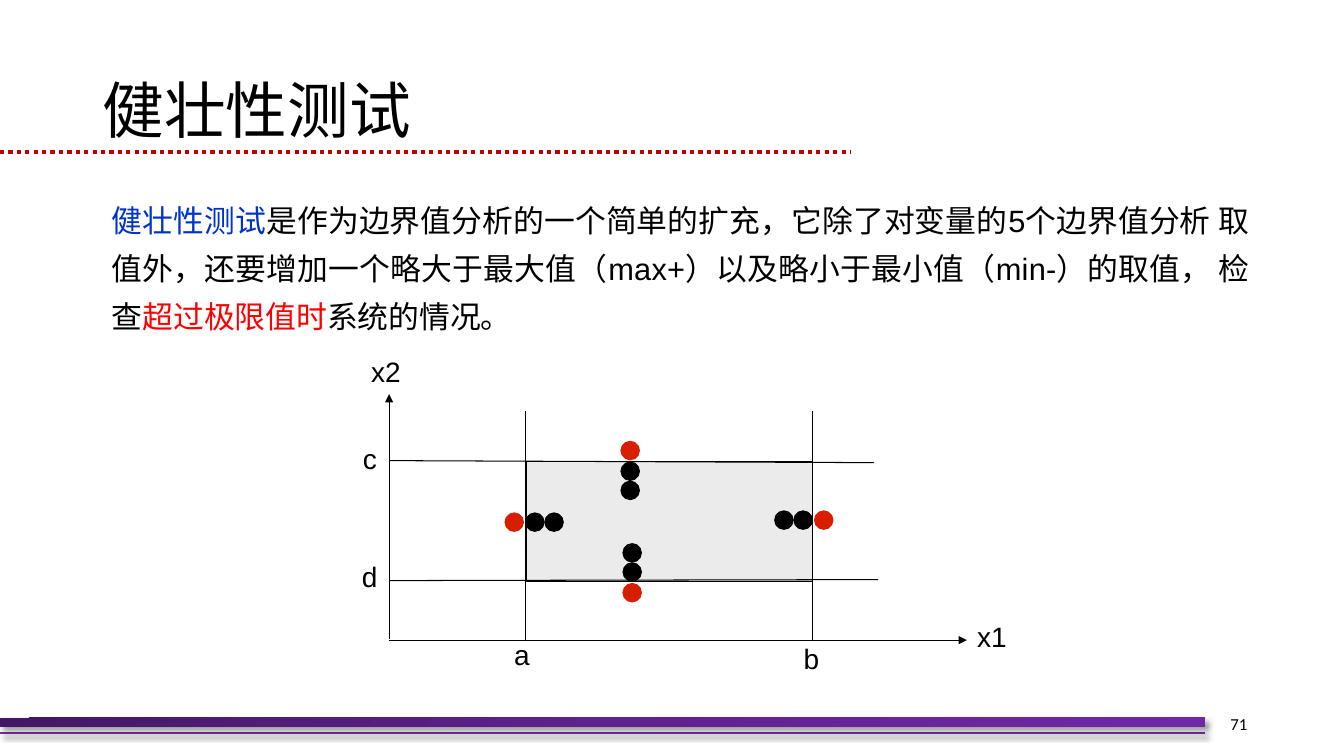
from copy import deepcopy
from pptx import Presentation
from pptx.dml.color import RGBColor
from pptx.enum.dml import MSO_LINE
from pptx.enum.shapes import MSO_CONNECTOR, MSO_SHAPE
from pptx.enum.text import MSO_ANCHOR, PP_ALIGN
from pptx.oxml import parse_xml
from pptx.oxml.ns import nsdecls, qn
from pptx.oxml.xmlchemy import OxmlElement
from pptx.util import Inches, Pt

BLACK = RGBColor(0x00, 0x00, 0x00)
BLUE = RGBColor(0x00, 0x33, 0xCC)
RED = RGBColor(0xFF, 0x00, 0x00)
DOT_RED = RGBColor(0xD8, 0x1E, 0x00)
RULE_RED = RGBColor(0xC0, 0x00, 0x00)
PURPLE = RGBColor(0x70, 0x30, 0xA0)
GREY = RGBColor(0xEB, 0xEB, 0xEB)
BAR_STOPS = [
    (0, RGBColor(0x43, 0x17, 0x64)),
    (0.5, RGBColor(0x5F, 0x21, 0x8E)),
    (1, RGBColor(0x71, 0x28, 0xA8)),
]
CJK, LATIN, NUMBER = "Noto Sans CJK SC", "Arial", "Calibri"

TITLE = [("健壮性测试", CJK, BLACK, 0)]
BODY = [
    ("健壮性测试", CJK, BLUE, 10),
    ("是作为边界值分析的一个简单的扩充，它除了对变量的", CJK, BLACK, 10),
    ("5", LATIN, BLACK, 10),
    ("个边界值分析 ", CJK, BLACK, 10),
    ("取值外，还要增加一个略大于最大值（", CJK, BLACK, 20),
    ("max+", LATIN, BLACK, 20),
    ("）以及略小于最小值（", CJK, BLACK, 20),
    ("min-", LATIN, BLACK, 20),
    ("）的取", CJK, BLACK, 20),
    ("值， 检查", CJK, BLACK, 0),
    ("超过极限值时", CJK, RED, 0),
    ("系统的情况。", CJK, BLACK, 0),
]
PAGE_NUMBER = [("71", NUMBER, BLACK, 0)]
LABELS = [
    ("x1", 96.9, 61.4),
    ("x2", 36.8, 35.1),
    ("a", 51, 63.1),
    ("b", 79.7, 63.5),
    ("c", 36, 43.7),
    ("d", 35.9, 55.4),
]
AXES = [(38.6, 63.4, 38.6, 39.1), (38.6, 63.5, 95.9, 63.5)]
LIMITS = [
    (38.6, 45.7, 86.7, 45.9),
    (38.6, 57.6, 87.1, 57.5),
    (52.1, 40.8, 52.1, 63.5),
    (80.6, 40.8, 80.6, 63.5),
]
VALID_AREA = (52.2, 45.8, 28.4, 11.9)
OUTER_DOTS = [
    (51, 51.8, 1, 0),
    (81.7, 51.6, -1, 0),
    (62.5, 44.7, 0, 1),
    (62.7, 58.8, 0, -1),
]
DOT_STEPS = [(0, DOT_RED), (2.05, BLACK), (3.95, BLACK)]
DOT_SIZE = 1.83


def cells(*counts):
    return [Inches(count / 10) for count in counts]


def add_text(page, spans, place, size, margins=(0, 0.1, 0, 0), wrap=True,
             anchor=MSO_ANCHOR.TOP, align=PP_ALIGN.LEFT, spacing=1.0):
    box = page.shapes.add_textbox(*cells(*place))
    frame = box.text_frame
    frame.word_wrap = wrap
    frame.vertical_anchor = anchor
    frame.margin_left, frame.margin_top, frame.margin_right, frame.margin_bottom = cells(*margins)
    para = frame.paragraphs[0]
    para.alignment = align
    para.line_spacing = spacing
    for text, font_name, color, tracking in spans:
        span = para.add_run()
        span.text = text
        span.font.size = Pt(size)
        span.font.color.rgb = color
        span.font.name = font_name
        properties = span.font._element
        properties.set("spc", str(tracking))
        east_asian = OxmlElement("a:ea")
        east_asian.set("typeface", font_name)
        properties.find(qn("a:latin")).addnext(east_asian)


def add_line(page, ends, color=BLACK, width=0.75, dash=None, arrow=False, shadow=False):
    line = page.shapes.add_connector(MSO_CONNECTOR.STRAIGHT, *cells(*ends))
    line.line.color.rgb = color
    line.line.width = Pt(width)
    if dash:
        line.line.dash_style = dash
    if arrow:
        head = OxmlElement("a:tailEnd")
        head.set("type", "triangle")
        line.line._get_or_add_ln().append(head)
    if shadow:
        add_shadow(line)
    else:
        line._element.spPr.append(OxmlElement("a:effectLst"))


def add_shadow(shape):
    shape._element.spPr.append(parse_xml(
        f'<a:effectLst {nsdecls("a")}>'
        f'<a:outerShdw blurRad="{Pt(4)}" dist="{Pt(3)}" dir="2700000" rotWithShape="0">'
        '<a:srgbClr val="000000"><a:alpha val="40000"/></a:srgbClr>'
        '</a:outerShdw></a:effectLst>'))


def add_filled(page, kind, place, fill, outline):
    shape = page.shapes.add_shape(kind, *cells(*place))
    shape.shadow.inherit = False
    shape.fill.solid()
    shape.fill.fore_color.rgb = fill
    shape.line.color.rgb = outline
    shape.line.width = Pt(0.75)


def add_footer_bar(page):
    bar = page.shapes.add_shape(MSO_SHAPE.RECTANGLE, *cells(0, 71.2, 119.5, 0.9))
    bar.line.fill.background()
    bar.fill.gradient()
    bar.fill.gradient_angle = 315
    stop_list = bar._element.spPr.find(".//" + qn("a:gsLst"))
    stop_list.insert(1, deepcopy(stop_list[0]))
    for stop, (position, color) in zip(bar.fill.gradient_stops, BAR_STOPS):
        stop.position = position
        stop.color.rgb = color
    add_shadow(bar)


def main():
    deck = Presentation()
    deck.slide_width, deck.slide_height = Inches(13.33), Inches(7.5)
    page = deck.slides.add_slide(deck.slide_layouts[6])

    add_line(page, (0, 72.7, 119.5, 72.7), color=PURPLE, width=1.5, shadow=True)
    add_footer_bar(page)
    add_line(page, (0, 15.1, 84.4, 15.1), color=RULE_RED, width=3, dash=MSO_LINE.ROUND_DOT)

    for ends in AXES:
        add_line(page, ends, arrow=True)
    add_filled(page, MSO_SHAPE.RECTANGLE, VALID_AREA, GREY, BLACK)
    for ends in LIMITS:
        add_line(page, ends)
    for text, left, top in LABELS:
        add_text(page, [(text, LATIN, BLACK, 0)], (left, top, 1.6 * len(text), 3.6), 20, wrap=False)
    for x, y, across, down in OUTER_DOTS:
        for step, color in DOT_STEPS:
            left = x + across * step - DOT_SIZE / 2
            top = y + down * step - DOT_SIZE / 2
            add_filled(page, MSO_SHAPE.OVAL, (left, top, DOT_SIZE, DOT_SIZE), color, color)

    add_text(page, BODY, (11, 18.9, 112.9, 15), 22, margins=(0.1, 0.1, 0, 0), spacing=1.29)
    add_text(page, PAGE_NUMBER, (113.8, 69.8, 10.9, 4), 12, margins=(1, 0.5, 1, 0.5),
             anchor=MSO_ANCHOR.MIDDLE, align=PP_ALIGN.RIGHT)
    add_text(page, TITLE, (9.2, 4, 115, 14.5), 44, margins=(1, 0.5, 1, 0.5),
             anchor=MSO_ANCHOR.MIDDLE, spacing=0.9)
    deck.save("out.pptx")


if __name__ == "__main__":
    main()
